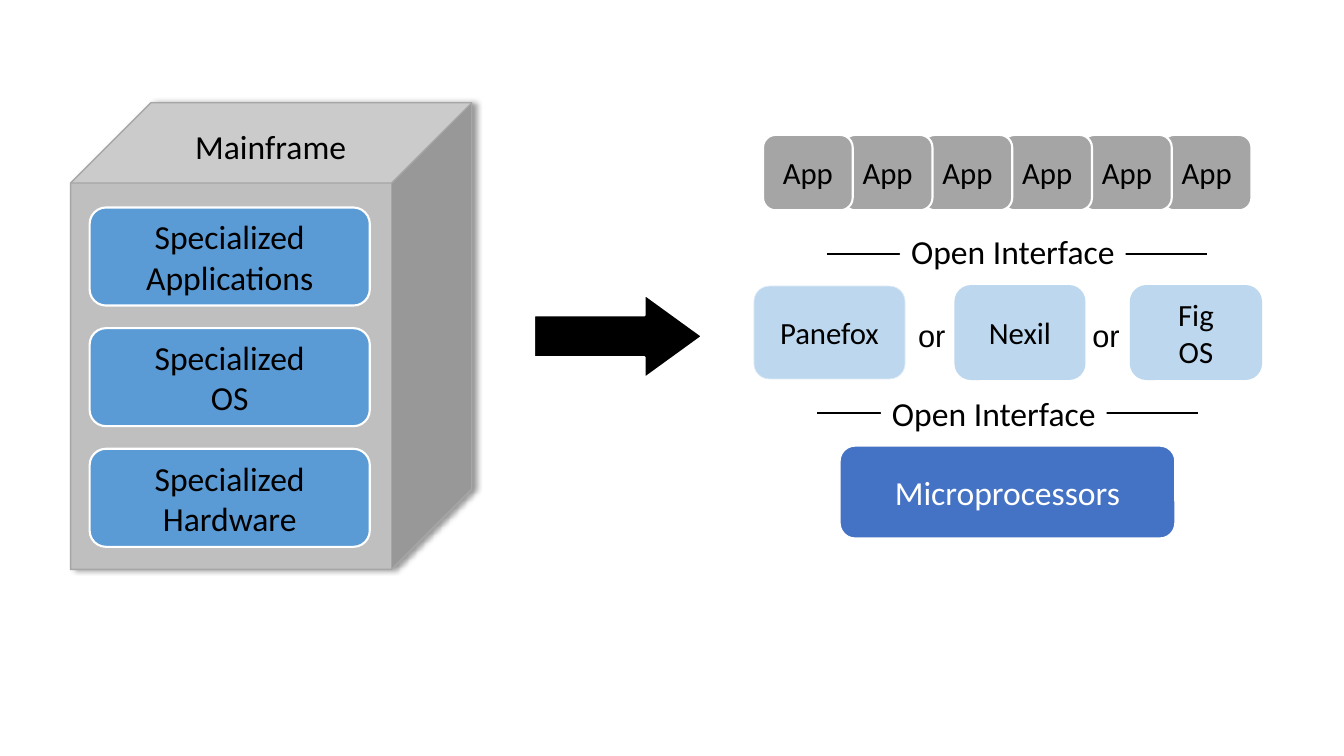
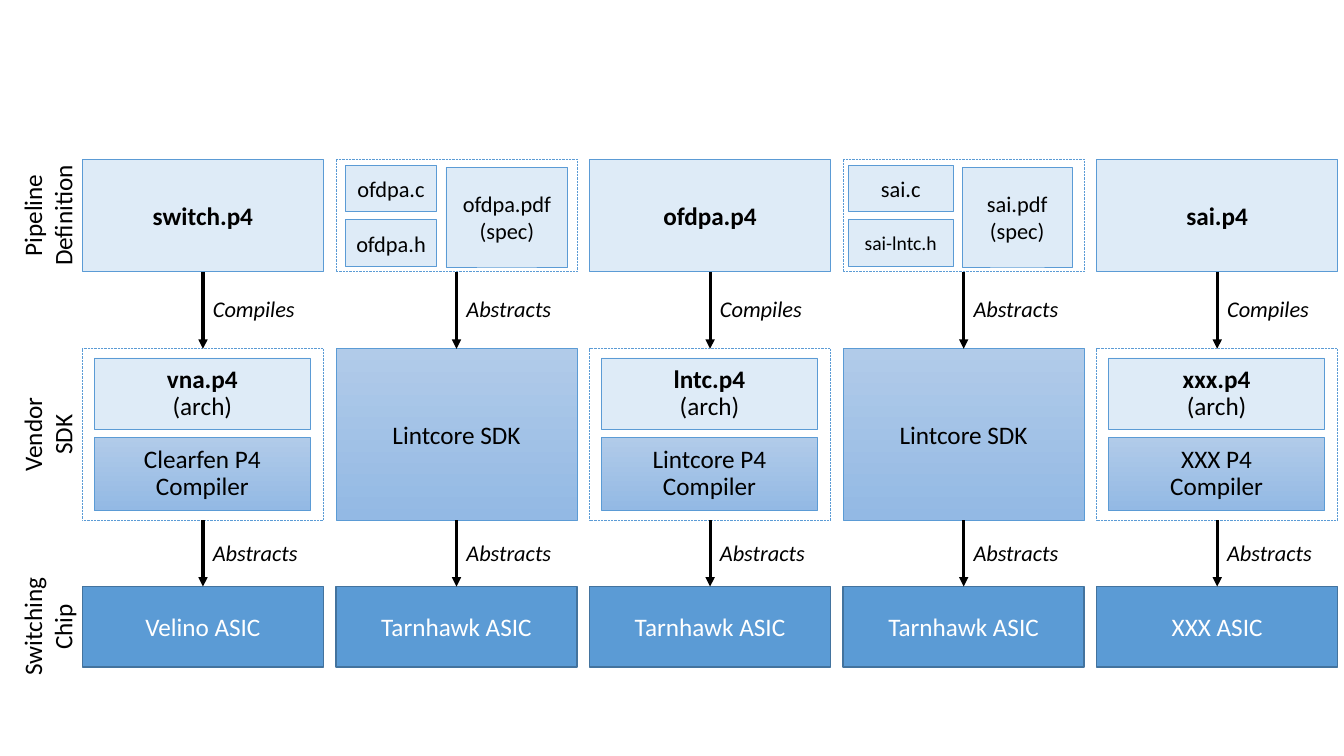
from dataclasses import dataclass

from lxml import etree
from pptx import Presentation
from pptx.dml.color import RGBColor
from pptx.enum.dml import MSO_LINE
from pptx.enum.shapes import MSO_CONNECTOR, MSO_SHAPE
from pptx.enum.text import MSO_ANCHOR, PP_ALIGN
from pptx.oxml.ns import qn
from pptx.util import Cm, Pt

RECT = MSO_SHAPE.RECTANGLE
ROUNDED = MSO_SHAPE.ROUNDED_RECTANGLE
CUBE = MSO_SHAPE.CUBE
RIGHT_ARROW = MSO_SHAPE.RIGHT_ARROW
STRAIGHT = MSO_CONNECTOR.STRAIGHT
DOTTED = MSO_LINE.ROUND_DOT
CENTER = PP_ALIGN.CENTER
LEFT = PP_ALIGN.LEFT
MIDDLE = MSO_ANCHOR.MIDDLE
TOP, BOTTOM = 0, 2


@dataclass(frozen=True)
class Theme:
    font: str = "Calibri"
    joiner_font: str = "Arial"
    black: RGBColor = RGBColor.from_string("000000")
    white: RGBColor = RGBColor.from_string("FFFFFF")
    cube: RGBColor = RGBColor.from_string("BFBFBF")
    app: RGBColor = RGBColor.from_string("A5A5A5")
    cube_edge: RGBColor = RGBColor.from_string("A6A6A6")
    blue: RGBColor = RGBColor.from_string("5B9BD5")
    blue_edge: RGBColor = RGBColor.from_string("43739E")
    royal: RGBColor = RGBColor.from_string("4472C4")
    sky: RGBColor = RGBColor.from_string("BDD7EE")
    pale: RGBColor = RGBColor.from_string("DEEBF7")
    gradient: tuple = (RGBColor.from_string("B1CBE9"),
                       RGBColor.from_string("93B9E4"))
    large: int = 24
    medium: int = 22
    body: int = 18
    small: int = 16
    tiny: int = 14


T = Theme()


def write(tf, lines, size, color=T.black, font=T.font, align=CENTER,
          bold_lines=0, italic=False, spacing=None):
    for i, line in enumerate(lines):
        p = tf.paragraphs[0] if i == 0 else tf.add_paragraph()
        p.text = line
        p.alignment = align
        p.line_spacing = spacing
        p.font.name = font
        p.font.size = Pt(size)
        p.font.color.rgb = color
        p.font.bold = i < bold_lines
        p.font.italic = italic


def add_box(s, kind, left, top, width, height, fill=None, line=None,
            weight=0.5, lines=(), size=T.body, wrap=True, **text):
    sp = s.shapes.add_shape(kind, Cm(left), Cm(top), Cm(width), Cm(height))
    sp.shadow.inherit = False
    if fill is None:
        sp.fill.background()
    elif fill is T.gradient:
        sp.fill.gradient()
        sp.fill.gradient_angle = 270
        for stop, color in zip(sp.fill.gradient_stops, fill):
            stop.color.rgb = color
    else:
        sp.fill.solid()
        sp.fill.fore_color.rgb = fill
    if line is None:
        sp.line.fill.background()
    else:
        sp.line.color.rgb = line
        sp.line.width = Pt(weight)
    tf = sp.text_frame
    tf.word_wrap = wrap
    tf.vertical_anchor = MIDDLE
    write(tf, lines, size, **text)
    return sp


def add_label(s, left, top, width, height, lines, size, **text):
    sp = s.shapes.add_textbox(Cm(left), Cm(top), Cm(width), Cm(height))
    sp.text_frame.word_wrap = False
    write(sp.text_frame, lines, size, **text)
    return sp


def add_line(s, x1, y1, x2, y2, weight):
    c = s.shapes.add_connector(STRAIGHT, Cm(x1), Cm(y1), Cm(x2), Cm(y2))
    c.line.color.rgb = T.black
    c.line.width = Pt(weight)
    etree.SubElement(c._element.spPr, qn("a:effectLst"))
    return c


def add_down_arrow(s, upper, lower):
    c = add_line(s, 0, 0, 0, 0, 2.25)
    c.begin_connect(upper, BOTTOM)
    c.end_connect(lower, TOP)
    etree.SubElement(c.line._get_or_add_ln(), qn("a:tailEnd"), type="triangle")


def add_drop_shadow(sp):
    effects = sp._element.spPr.find(qn("a:effectLst"))
    shadow = etree.SubElement(effects, qn("a:outerShdw"), blurRad=str(Pt(4)),
                              dist=str(Pt(3)), dir="0", algn="l",
                              rotWithShape="0")
    color = etree.SubElement(shadow, qn("a:srgbClr"), val=str(T.black))
    etree.SubElement(color, qn("a:alpha"), val="40000")


def add_mainframe(s):
    cube = add_box(s, CUBE, 1.78, 2.59, 10.11, 11.76, T.cube, T.cube_edge, 1)
    cube.adjustments[0] = 0.2
    add_drop_shadow(cube)
    add_label(s, 4.65, 3.05, 4.34, 1.27, ["Mainframe"], T.large)
    for i, layer in enumerate(("Applications", "OS", "Hardware")):
        sp = add_box(s, ROUNDED, 2.26, 5.23 + i * 3.04, 7.06, 2.47, T.blue,
                     T.white, 1.5, ["Specialized", layer], T.large)
        tf = sp.text_frame
        tf.margin_left = tf.margin_right = Cm(0.33)
        tf.margin_top = tf.margin_bottom = Cm(0.18)


def add_open_interface(s, x1, x2, y, text_left, text_top):
    add_line(s, x1, y, x2, y, 1)
    sp = add_label(s, text_left, text_top, 5.69, 1.27, ["Open Interface"],
                   T.large)
    sp.fill.solid()
    sp.fill.fore_color.rgb = T.white


def add_open_stack(s):
    for i in reversed(range(6)):
        add_box(s, ROUNDED, 19.23 + i * 2.01, 3.4, 2.26, 1.9, T.app, T.white,
                1.5, ["App"], T.medium)
    add_open_interface(s, 20.83, 30.43, 6.4, 22.68, 5.69)
    systems = (
        (19, 3.81, ["Panefox"], T.pale, 0.5),
        (24.08, 3.25, ["Nexil"], T.sky, 1.5),
        (28.5, 3.28, ["Fig", "OS"], T.sky, 1.5),
    )
    for left, width, lines, edge, weight in systems:
        add_box(s, ROUNDED, left, 7.21, width, 2.34, T.sky, edge, weight,
                lines, T.medium)
    for left in (22.89, 27.28):
        add_label(s, left, 7.86, 1.22, 1.19, ["or"], T.medium,
                  font=T.joiner_font, align=LEFT)
    add_open_interface(s, 20.6, 30.18, 10.41, 22.2, 9.78)
    add_box(s, ROUNDED, 21.16, 11.23, 8.46, 2.34, T.royal, T.white, 1.5,
            ["Microprocessors"], T.large, color=T.white)


COL_LEFT, COL_PITCH, COL_WIDTH = 2.08, 6.39, 6.07
PIPELINE = (4.01, 2.84)
SDK = (8.79, 4.32)
CHIP = (14.78, 2.03)


def add_cell(s, left, row, fill, edge=T.blue, weight=0.5, lines=(), **text):
    top, height = row
    return add_box(s, RECT, left, top, COL_WIDTH, height, fill, edge, weight,
                   lines, **text)


def add_frame(s, left, row):
    sp = add_cell(s, left, row, None)
    sp.line.dash_style = DOTTED
    return sp


def add_column(s, left, pipeline, sdk, chip, verb):
    chip_box = add_cell(s, left, CHIP, T.blue, T.blue_edge, 1, [chip],
                        color=T.white)
    add_down_arrow(s, pipeline, sdk)
    add_down_arrow(s, sdk, chip_box)
    for top, label in ((7.32, verb), (13.46, "Abstracts")):
        add_label(s, left + COL_WIDTH / 2, top, 2.65, 0.94, [label], T.small,
                  align=LEFT, italic=True)


def add_compiled_column(s, left, program, arch, vendor, chip):
    pipeline = add_cell(s, left, PIPELINE, T.pale, lines=[program],
                        bold_lines=1)
    sdk = add_frame(s, left, SDK)
    add_box(s, RECT, left + 0.3, 9.02, 5.44, 1.8, T.pale, T.blue,
            lines=[arch, "(arch)"], bold_lines=1, spacing=0.9)
    add_box(s, RECT, left + 0.3, 11.02, 5.44, 1.85, T.gradient, T.blue,
            lines=[f"{vendor} P4", "Compiler"], spacing=0.9)
    add_column(s, left, pipeline, sdk, chip, "Compiles")


def add_abstracted_column(s, left, files, header_size, file_box, doc_box):
    source, header, doc = files
    pipeline = add_frame(s, left, PIPELINE)
    for (offset, width), top, height, lines, size in (
            (file_box, 4.17, 1.17, [source], T.small),
            (file_box, 5.54, 1.17, [header], header_size),
            (doc_box, 4.22, 2.51, [doc, "(spec)"], T.small)):
        add_box(s, RECT, left + offset, top, width, height, T.pale, T.blue,
                lines=lines, size=size, wrap=False)
    sdk = add_cell(s, left, SDK, T.gradient, lines=["Lintcore SDK"])
    add_column(s, left, pipeline, sdk, "Tarnhawk ASIC", "Abstracts")


def add_row_title(s, row, lines):
    top, height = row
    sp = add_label(s, -0.35, top + height / 2 - 0.9, 3.1, 1.8, lines, T.body)
    sp.rotation = 270


def build_disaggregation(s):
    add_mainframe(s)
    add_box(s, RIGHT_ARROW, 13.46, 7.42, 4.24, 2.11, T.black, T.white,
            1.5).adjustments[1] = 0.69
    add_open_stack(s)


def build_pipelines(s):
    lefts = [COL_LEFT + i * COL_PITCH for i in range(5)]
    add_compiled_column(s, lefts[0], "switch.p4", "vna.p4", "Clearfen",
                        "Velino ASIC")
    add_abstracted_column(s, lefts[1], ("ofdpa.c", "ofdpa.h", "ofdpa.pdf"),
                          T.small, (0.23, 2.31), (2.77, 3.07))
    add_compiled_column(s, lefts[2], "ofdpa.p4", "lntc.p4", "Lintcore",
                        "Tarnhawk ASIC")
    add_abstracted_column(s, lefts[3], ("sai.c", "sai-lntc.h", "sai.pdf"),
                          T.tiny, (0.13, 2.64), (3, 2.77))
    add_compiled_column(s, lefts[4], "sai.p4", "xxx.p4", "XXX", "XXX ASIC")
    add_row_title(s, PIPELINE, ["Pipeline", "Definition"])
    add_row_title(s, SDK, ["Vendor", "SDK"])
    add_row_title(s, CHIP, ["Switching", "Chip"])


def main():
    prs = Presentation()
    prs.slide_width, prs.slide_height = Cm(33.87), Cm(19.05)
    blank = prs.slide_layouts[6]
    for build in (build_disaggregation, build_pipelines):
        build(prs.slides.add_slide(blank))
    prs.save("out.pptx")


if __name__ == "__main__":
    main()
